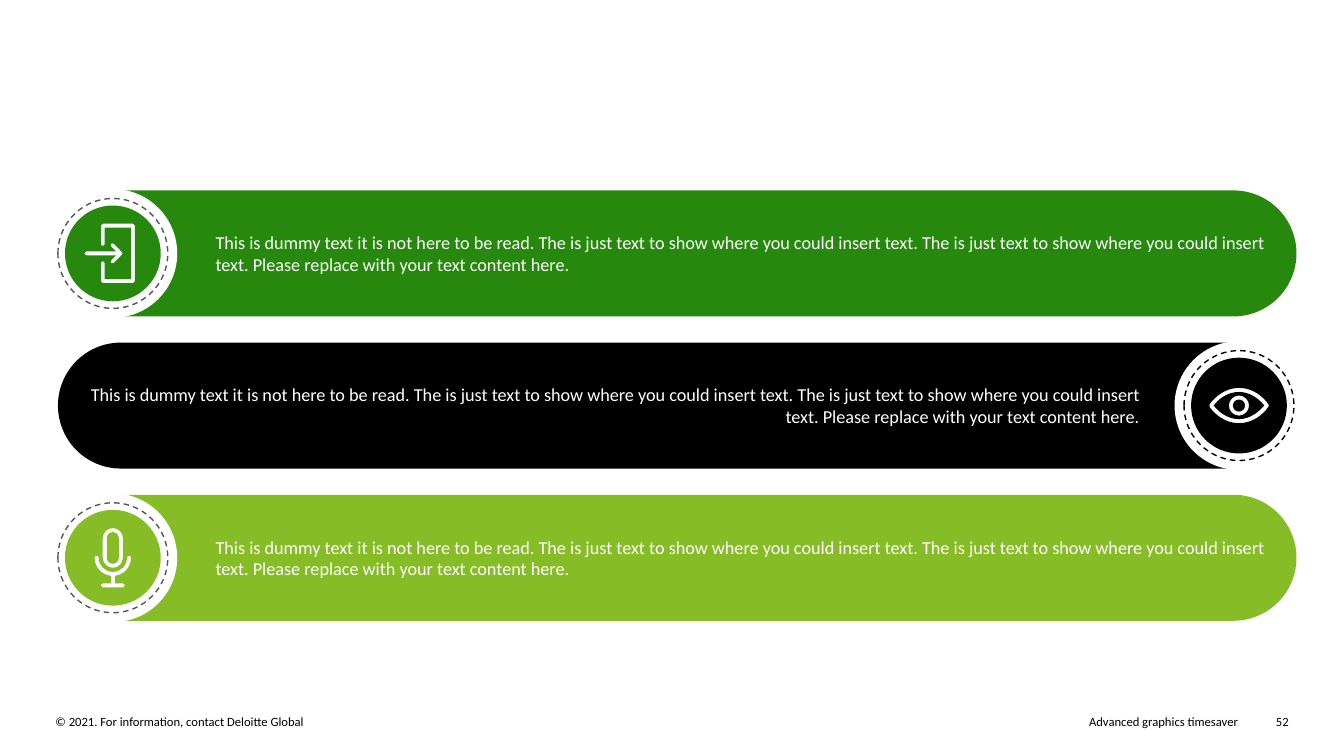
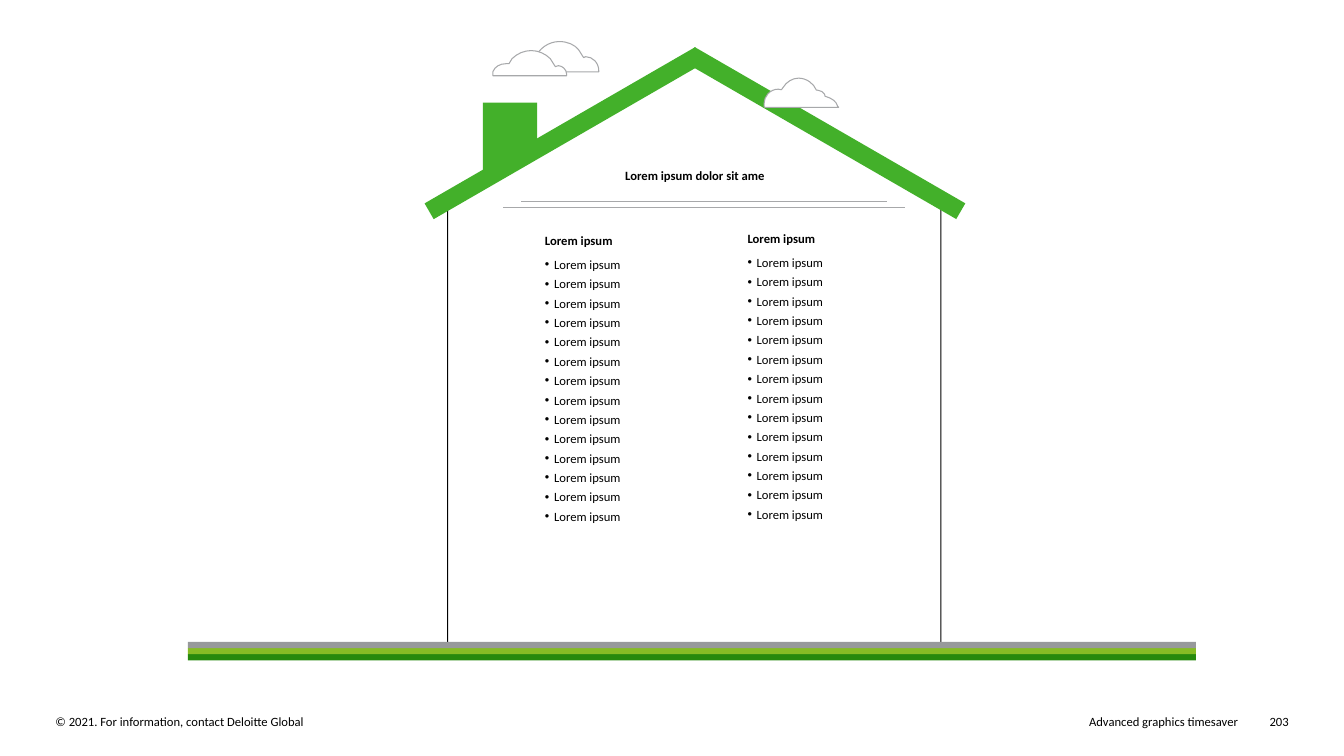
from dataclasses import dataclass

from lxml import etree
from pptx import Presentation
from pptx.dml.color import RGBColor
from pptx.enum import dml, shapes, text
from pptx.oxml import ns
from pptx.util import Pt

Box = tuple[float, float, float, float]
MSO = shapes.MSO_SHAPE
LEFT, RIGHT = text.PP_ALIGN.LEFT, text.PP_ALIGN.RIGHT
CENTER, JUSTIFY = text.PP_ALIGN.CENTER, text.PP_ALIGN.JUSTIFY
TOP, MIDDLE = text.MSO_ANCHOR.TOP, text.MSO_ANCHOR.MIDDLE
SEGMENTS = {"M": ("a:moveTo", 1), "L": ("a:lnTo", 1), "C": ("a:cubicBezTo", 3), "Z": ("a:close", 0)}


@dataclass(frozen=True)
class Theme:
    font: str = "Calibri"
    small: float = 9
    body: float = 13
    hairline: float = 0.75
    dash: float = 1
    white: str = "FFFFFF"
    black: str = "000000"
    slate: str = "53565A"
    grey: str = "97999B"
    silver: str = "A7A8AA"
    dark_green: str = "26890D"
    green: str = "43B02A"
    lime: str = "86BC25"


T = Theme()


@dataclass(frozen=True)
class Banner:
    top: float
    color: str
    ring: str
    icon: str
    badge_right: bool = False


@dataclass(frozen=True)
class Cloud:
    left: float
    top: float
    outline: str


@dataclass(frozen=True)
class Column:
    box: Box
    heading: str
    items: list[str]


def circle(r: float) -> str:
    k = round(r * 0.5523, 2)
    return (f"M {r} 0 C {r} {k} {k} {r} 0 {r} C {-k} {r} {-r} {k} {-r} 0 "
            f"C {-r} {-k} {-k} {-r} 0 {-r} C {k} {-r} {r} {-k} {r} 0 Z ")


def capsule(r: float, top: float) -> str:
    k = round(r * 0.5523, 2)
    return (f"M 0 {r} C {-k} {r} {-r} {k} {-r} 0 L {-r} {top} C {-r} {top - k} {-k} {top - r} "
            f"0 {top - r} C {k} {top - r} {r} {top - k} {r} {top} L {r} 0 C {r} {k} {k} {r} 0 {r} Z ")


DOOR_ICON = (
    "M -20.2 0 C -20.2 -0.8 -19.5 -1.4 -18.7 -1.4 L 2.3 -1.4 L -1.3 -5 "
    "C -1.8 -5.6 -1.8 -6.4 -1.3 -7 C -0.7 -7.5 0.2 -7.5 0.7 -7 L 6.5 -1 "
    "C 7.1 -0.4 7.1 0.4 6.5 1 L 0.7 7 C 0.2 7.5 -0.7 7.5 -1.3 7 C -1.8 6.4 -1.8 5.6 -1.3 5 "
    "L 2.3 1.4 L -18.7 1.4 C -19.5 1.4 -20.2 0.8 -20.2 0 Z "
    "M 15.8 19.8 C 15.8 20.6 15.2 21.2 14.4 21.2 L -7.2 21.2 C -8 21.2 -8.6 20.6 -8.6 19.8 "
    "L -8.6 6.8 C -8.6 6 -8 5.4 -7.2 5.4 C -6.4 5.4 -5.8 6 -5.8 6.8 L -5.8 18.4 L 13 18.4 "
    "L 13 -18.4 L -5.8 -18.4 L -5.8 -6.8 C -5.8 -6 -6.4 -5.4 -7.2 -5.4 "
    "C -8 -5.4 -8.6 -6 -8.6 -6.8 L -8.6 -19.8 C -8.6 -20.6 -8 -21.2 -7.2 -21.2 "
    "L 14.4 -21.2 C 15.2 -21.2 15.8 -20.6 15.8 -19.8 Z"
)
EYE_ICON = circle(4.3) + circle(7.2) + (
    "M 18 0 C 14.4 4.3 8 9.7 0 9.7 C -8.6 9.7 -15 4 -18 0 "
    "C -14.4 -5 -8 -9.7 0 -9.7 C 8.6 -9.7 15 -4 18 0 Z "
    "M 21.4 0 C 21.4 -0.4 21.3 -0.7 21 -1 C 18 -5.4 10.8 -12.6 0 -12.6 "
    "C -9.6 -12.6 -16.8 -6.5 -21 -1 C -21.5 -0.4 -21.5 0.4 -21 1 "
    "C -18 5.4 -10.4 12.6 0 12.6 C 9.6 12.6 17.3 6.5 21 1 C 21.3 0.7 21.4 0.4 21.4 0 Z"
)
MIC_ICON = capsule(7.2, -14) + capsule(4.3, -14) + (
    "M 1.4 12.9 L 1.4 18.4 L 7.2 18.4 C 8 18.4 8.6 19 8.6 19.8 C 8.6 20.6 8 21.2 7.2 21.2 "
    "L -7.2 21.2 C -8 21.2 -8.6 20.6 -8.6 19.8 C -8.6 19 -8 18.4 -7.2 18.4 L -1.4 18.4 "
    "L -1.4 12.9 C -7.9 12.2 -13 6.8 -13 0 C -13 -0.8 -12.4 -1.4 -11.5 -1.4 "
    "C -10.7 -1.4 -10.1 -0.8 -10.1 0 C -10.1 5.6 -5.6 10.1 0 10.1 "
    "C 5.6 10.1 10.1 5.6 10.1 0 C 10.1 -0.8 10.7 -1.4 11.5 -1.4 "
    "C 12.4 -1.4 13 -0.8 13 0 C 13 6.8 7.9 12.2 1.4 12.9 Z"
)
BANNER_HEIGHT, BANNER_TOP, BANNER_PITCH = 90, 136, 108.7
BANNERS = [
    Banner(BANNER_TOP + i * BANNER_PITCH, *look)
    for i, look in enumerate([
        (T.dark_green, T.slate, DOOR_ICON),
        (T.black, T.black, EYE_ICON, True),
        (T.lime, T.slate, MIC_ICON),
    ])
]
BANNER_TEXT = (
    "This is dummy text it is not here to be read. The is just text to show where you could "
    "insert text. The is just text to show where you could insert text. Please replace with "
    "your text content here."
)
CLOUDS = [
    Cloud(545.8, 55.8, (
        "M 24.5 0 C 30.2 0 35.3 3.6 37.4 8.6 L 37.8 8.6 L 38.2 8.6 "
        "C 40.3 8.6 42.5 10.1 43.2 11.5 L 43.6 13 L 44.6 13.3 "
        "C 48.2 14.4 51.8 16.6 52.6 20.2 L 53.3 20.9 L 0.7 20.9 L 0 20.2 "
        "C 0 19.4 0 18.7 0 18 C 0 13 4.3 7.9 10.1 7.9 C 10.8 7.9 11.5 7.9 12.2 8.3 "
        "L 12.4 8.3 L 13.7 6.5 C 15.8 2.9 20.2 0 24.5 0 Z")),
    Cloud(375.1, 29.7, (
        "M 52.6 21.6 L 0 21.6 L 0 20.9 C 0.7 18.7 2.9 17.3 5.8 17.3 L 6 17.3 L 6.5 12.2 "
        "C 10.1 5 16.6 0 24.5 0 C 30.2 0 35.3 2.2 38.2 5.8 L 41.8 11.5 L 43.2 10.8 "
        "C 48.2 10.8 52.6 15.1 52.6 20.9 L 52.6 21.6 Z")),
    Cloud(352.1, 36.1, (
        "M 27.4 0 C 32.4 0 37.4 2.2 41 5.8 L 44.6 11.5 L 46.8 10.8 "
        "C 49.7 10.8 52.6 13.7 52.6 16.6 L 52.6 18 L 0 18 L 0 15.1 "
        "C 1.4 11.5 5 9.4 9.4 9.4 L 11.5 9.4 L 13.7 5.8 C 17.3 2.2 22.3 0 27.4 0 Z")),
]
COLUMNS = [
    Column((382.2, 158.7, 109.4, 242.6), "Lorem ipsum", ["Lorem ipsum"] * 14),
    Column((526.9, 157.3, 100.8, 268.6), "Lorem ipsum", ["Lorem ipsum"] * 14),
]


def paint(sp, fill: str | None = None, line: str | None = None, width: float = T.hairline) -> None:
    sp.shadow.inherit = False
    if fill:
        sp.fill.solid()
        sp.fill.fore_color.rgb = RGBColor.from_string(fill)
    else:
        sp.fill.background()
    if line:
        sp.line.color.rgb = RGBColor.from_string(line)
        sp.line.width = Pt(width)
    else:
        sp.line.fill.background()


def add_preset(s, kind, box: Box, fill: str | None = None, line: str | None = None,
               width: float = T.hairline, rotation: float = 0):
    sp = s.shapes.add_shape(kind, *map(Pt, box))
    paint(sp, fill, line, width)
    sp.rotation = rotation
    return sp


def add_circle(s, cx: float, cy: float, size: float, **style):
    box = (cx - size / 2, cy - size / 2, size, size)
    return add_preset(s, MSO.FLOWCHART_CONNECTOR, box, **style)


def add_outline(s, outline: str, left: float, top: float, **style) -> None:
    tokens = iter(outline.split())
    segments = []
    for letter in tokens:
        tag, count = SEGMENTS[letter]
        segments.append((tag, [(Pt(left + float(next(tokens))), Pt(top + float(next(tokens))))
                               for _ in range(count)]))
    (x0, y0), *rest = [points[-1] for _, points in segments if points]
    builder = s.shapes.build_freeform(x0, y0)
    builder.add_line_segments(rest, close=True)
    sp = builder.convert_to_shape()
    track = next(sp._element.iter(ns.qn("a:path")))
    for child in list(track):
        track.remove(child)
    for tag, points in segments:
        node = etree.SubElement(track, ns.qn(tag))
        for x, y in points:
            etree.SubElement(node, ns.qn("a:pt"), x=str(x - sp.left), y=str(y - sp.top))
    paint(sp, **style)


def add_rule(s, left: float, right: float, y: float, color: str) -> None:
    line = s.shapes.add_connector(shapes.MSO_CONNECTOR.STRAIGHT, Pt(left), Pt(y), Pt(right), Pt(y))
    line.line.color.rgb = RGBColor.from_string(color)
    line.line.width = Pt(T.hairline)
    etree.SubElement(line._element.spPr, ns.qn("a:effectLst"))


def set_frame(tf, insets: Box, anchor=TOP) -> None:
    tf.word_wrap = True
    tf.vertical_anchor = anchor
    tf.margin_left, tf.margin_top, tf.margin_right, tf.margin_bottom = map(Pt, insets)


def write(p, words: str, *, size: float = T.small, color: str = T.black, bold: bool = False,
          align=LEFT, before: float = 0, after: float = 0, spacing: float = 1,
          bullet: str = "", indent: float = 0) -> None:
    p.alignment = align
    p.space_before, p.space_after, p.line_spacing = Pt(before), Pt(after), spacing
    if bullet:
        ppr = p._p.get_or_add_pPr()
        ppr.set("marL", str(Pt(indent)))
        ppr.set("indent", str(-Pt(indent)))
        etree.SubElement(ppr, ns.qn("a:buFont"), typeface="Arial")
        etree.SubElement(ppr, ns.qn("a:buChar"), char=bullet)
    r = p.add_run()
    r.text = words
    r.font.name, r.font.size, r.font.bold = T.font, Pt(size), bold
    r.font.color.rgb = RGBColor.from_string(color)


def add_text(s, words: str, box: Box, anchor=TOP, **style) -> None:
    tf = s.shapes.add_textbox(*map(Pt, box)).text_frame
    set_frame(tf, (0, 0, 0, 0), anchor)
    write(tf.paragraphs[0], words, **style)


def add_slide(prs, number: int):
    s = prs.slides.add_slide(prs.slide_layouts[6])
    add_text(s, "© 2021. For information, contact Deloitte Global", (39.6, 509.8, 422, 10.8))
    add_text(s, "Advanced graphics timesaver", (499, 509.8, 385.2, 10.8), align=RIGHT)
    add_text(s, str(number), (896, 509.8, 24.5, 10.8), align=RIGHT)
    return s


def add_banner(s, banner: Banner) -> None:
    wide, narrow = 99.4, 7.2
    box = (41.4, banner.top, 884.7, BANNER_HEIGHT)
    sp = add_preset(s, MSO.ROUNDED_RECTANGLE, box, fill=banner.color)
    sp.adjustments[0] = 0.5
    left, right = (narrow, wide) if banner.badge_right else (wide, narrow)
    set_frame(sp.text_frame, (left, 3.6, right, 3.6), MIDDLE)
    write(sp.text_frame.paragraphs[0], BANNER_TEXT, size=T.body, color=T.white,
          align=RIGHT if banner.badge_right else LEFT)


def add_badge(s, banner: Banner) -> None:
    cx, cy = 885 if banner.badge_right else 80.6, banner.top + BANNER_HEIGHT / 2
    add_circle(s, cx, cy, 92, fill=T.white)
    ring = add_circle(s, cx, cy, 78.5, line=banner.ring, width=T.dash)
    ring.line.dash_style = dml.MSO_LINE.DASH
    add_outline(s, circle(34.2) + banner.icon, cx, cy, fill=banner.color)


def add_column(s, column: Column) -> None:
    tf = s.shapes.add_textbox(*map(Pt, column.box)).text_frame
    set_frame(tf, (7.2, 7.2, 7.2, 7.2))
    write(tf.paragraphs[0], column.heading, bold=True, align=JUSTIFY, after=3, spacing=1.07)
    for item in column.items:
        write(tf.add_paragraph(), item, before=3, bullet="•", indent=6.5)


def build_banners(prs) -> None:
    s = add_slide(prs, 52)
    for banner in reversed(BANNERS):
        add_banner(s, banner)
    for banner in BANNERS:
        add_badge(s, banner)


def build_house(prs) -> None:
    s = add_slide(prs, 203)
    add_preset(s, MSO.RECTANGLE, (344.9, 73.4, 38.9, 53.3), fill=T.green)
    house = add_preset(s, MSO.UP_ARROW, (319.7, 46.1, 352.4, 413.3), fill=T.white, line=T.black)
    house.adjustments[0], house.adjustments[1] = 1, 0.292
    for left, rotation in ((291.6, 330), (478.1, 30)):
        add_preset(s, MSO.RECTANGLE, (left, 88.6, 223.2, 13), fill=T.green, rotation=rotation)
    for cloud in CLOUDS:
        add_outline(s, cloud.outline, cloud.left, cloud.top, fill=T.white, line=T.silver)
    add_text(s, "Lorem ipsum dolor sit ame", (408.1, 115.5, 176.4, 20.2), MIDDLE,
             bold=True, align=CENTER)
    for column in COLUMNS:
        add_column(s, column)
    add_rule(s, 372.2, 633.6, 144, T.silver)
    add_rule(s, 359.3, 646.6, 148.3, T.silver)
    for i, color in enumerate((T.dark_green, T.lime, T.grey)):
        add_preset(s, MSO.RECTANGLE, (134.2, 467.3 - i * 4.4, 720, 4.4), fill=color)


def main() -> None:
    prs = Presentation()
    prs.slide_width, prs.slide_height = Pt(960), Pt(540)
    build_banners(prs)
    build_house(prs)
    prs.save("out.pptx")


if __name__ == "__main__":
    main()
